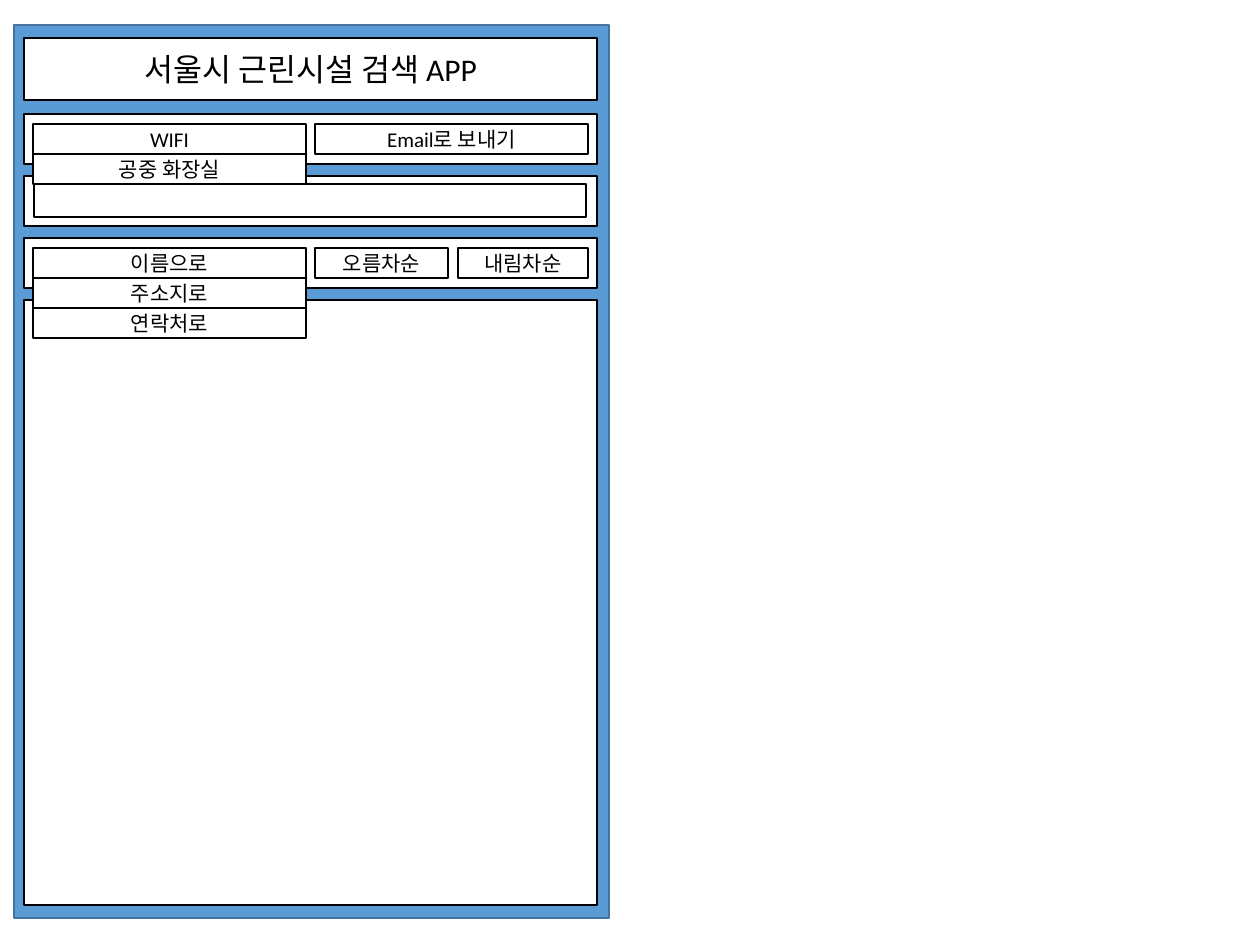
from pptx import Presentation
from pptx.dml.color import RGBColor
from pptx.enum.shapes import MSO_SHAPE
from pptx.enum.text import MSO_ANCHOR, MSO_AUTO_SIZE, PP_ALIGN
from pptx.util import Emu, Pt

RECTANGLE = MSO_SHAPE.RECTANGLE
MIDDLE, CENTER, NO_AUTOFIT = MSO_ANCHOR.MIDDLE, PP_ALIGN.CENTER, MSO_AUTO_SIZE.NONE

PX = 914400 / 126
BLUE = RGBColor(0x5B, 0x9B, 0xD5)
DARK_BLUE = RGBColor(0x43, 0x73, 0x9E)
WHITE = RGBColor(0xFF, 0xFF, 0xFF)
BLACK = RGBColor(0, 0, 0)
FONT = "Calibri"

APP_TITLE = "서울시 근린시설 검색 APP"
FACILITIES = ["WIFI", "공중 화장실"]
SEND_BUTTON = "Email로 보내기"
SORT_KEYS = ["이름으로", "주소지로", "연락처로"]
SORT_ORDERS = [("오름차순", 315, 133), ("내림차순", 458, 130)]

# Lengths in px
APP_FRAME = (14, 25, 595, 893)
PANEL_LEFT, PANEL_WIDTH = 24, 573
TITLE_TOP, TITLE_HEIGHT = 38, 62
BAR_TOP, BAR_HEIGHT, BAR_PITCH = 114, 50, 62
RESULTS_HEIGHT = 605
LIST_LEFT, RIGHT_LEFT, COLUMN_WIDTH = 33, 315, 273
ITEM_HEIGHT, ITEM_INSET = 30, 10
SEARCH_LEFT, SEARCH_WIDTH, SEARCH_HEIGHT, SEARCH_INSET = 34, 552, 33, 8


def px(length):
    return Emu(round(length * PX))


def write_text(shape, text, size=12, color=BLACK):
    frame = shape.text_frame
    frame.text = text
    frame.word_wrap = True
    frame.auto_size = NO_AUTOFIT
    frame.vertical_anchor = MIDDLE
    paragraph = frame.paragraphs[0]
    paragraph.alignment = CENTER
    font = paragraph.runs[0].font
    font.name, font.size = FONT, Pt(size)
    font.color.rgb = color


def paint(shape, fill=WHITE, line=BLACK):
    shape.fill.solid()
    shape.fill.fore_color.rgb = fill
    shape.line.color.rgb = line
    shape.line.width = Pt(1)


def add_box(slide, left, top, width, height, text=None, **colors):
    box = slide.shapes.add_shape(RECTANGLE, px(left), px(top), px(width), px(height))
    box.shadow.inherit = False
    paint(box, **colors)
    if text:
        write_text(box, text)


def add_list(slide, items, top):
    for row, item in enumerate(items):
        add_box(slide, LIST_LEFT, top + row * ITEM_HEIGHT, COLUMN_WIDTH, ITEM_HEIGHT, item)


def place_title(slide):
    """Format the title placeholder and bring it in front of the app frame."""
    title = slide.shapes.title
    title.left, title.top = px(PANEL_LEFT), px(TITLE_TOP)
    title.width, title.height = px(PANEL_WIDTH), px(TITLE_HEIGHT)
    paint(title)
    write_text(title, APP_TITLE, size=18)
    title.element.getparent().append(title.element)


def main():
    presentation = Presentation()
    presentation.slide_width, presentation.slide_height = px(1260), px(945)
    slide = presentation.slides.add_slide(presentation.slide_layouts[5])

    add_box(slide, *APP_FRAME, fill=BLUE, line=DARK_BLUE)
    place_title(slide)

    filter_top, search_top, sort_top, results_top = (
        BAR_TOP + row * BAR_PITCH for row in range(4))
    add_box(slide, PANEL_LEFT, results_top, PANEL_WIDTH, RESULTS_HEIGHT)
    for top in (filter_top, search_top, sort_top):
        add_box(slide, PANEL_LEFT, top, PANEL_WIDTH, BAR_HEIGHT)

    add_box(slide, SEARCH_LEFT, search_top + SEARCH_INSET, SEARCH_WIDTH, SEARCH_HEIGHT)

    facility_top = filter_top + ITEM_INSET
    add_list(slide, FACILITIES, facility_top)
    add_box(slide, RIGHT_LEFT, facility_top, COLUMN_WIDTH, ITEM_HEIGHT, SEND_BUTTON)

    sort_key_top = sort_top + ITEM_INSET
    add_list(slide, SORT_KEYS, sort_key_top)
    for order, left, width in SORT_ORDERS:
        add_box(slide, left, sort_key_top, width, ITEM_HEIGHT, order)

    presentation.save("out.pptx")


if __name__ == "__main__":
    main()
